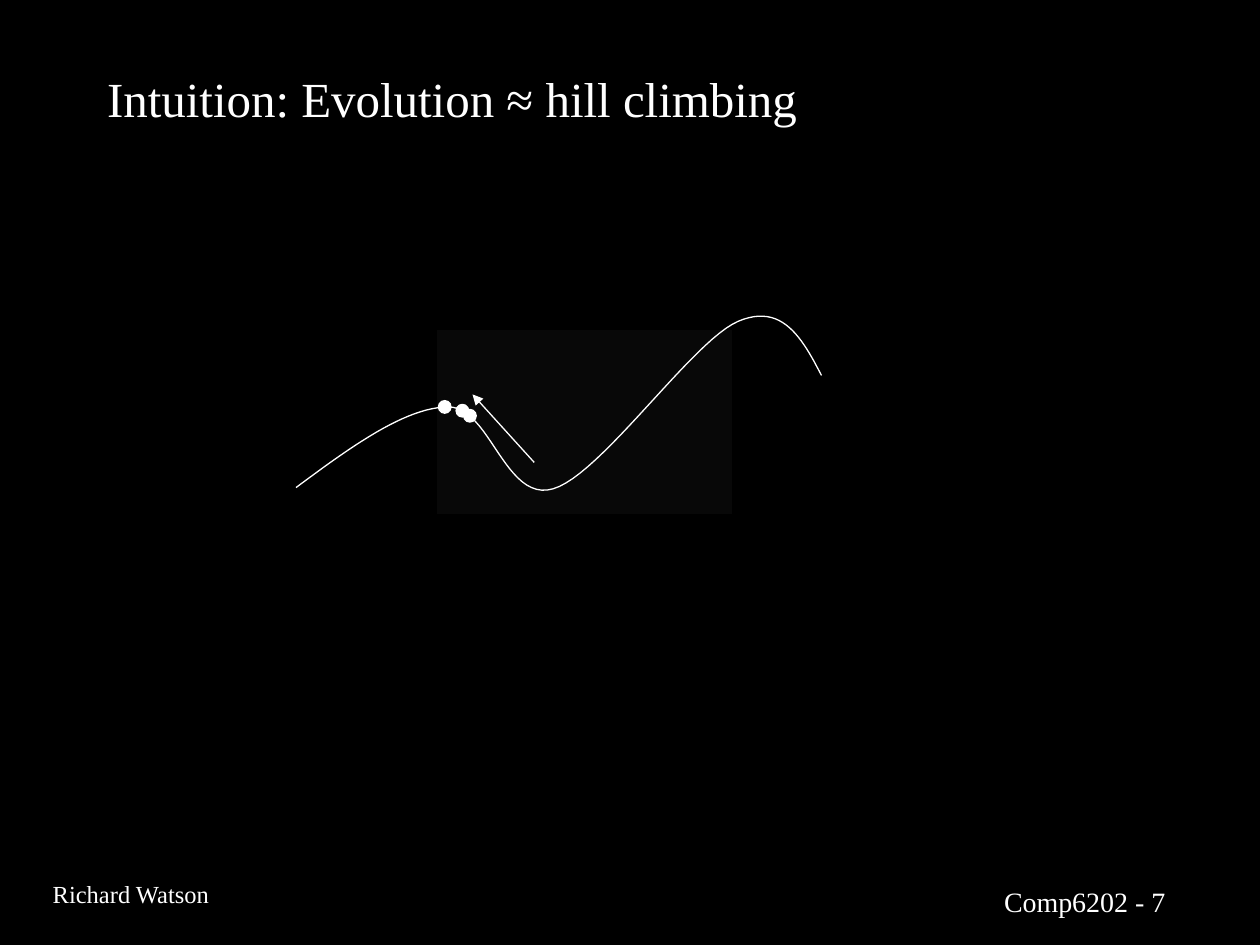
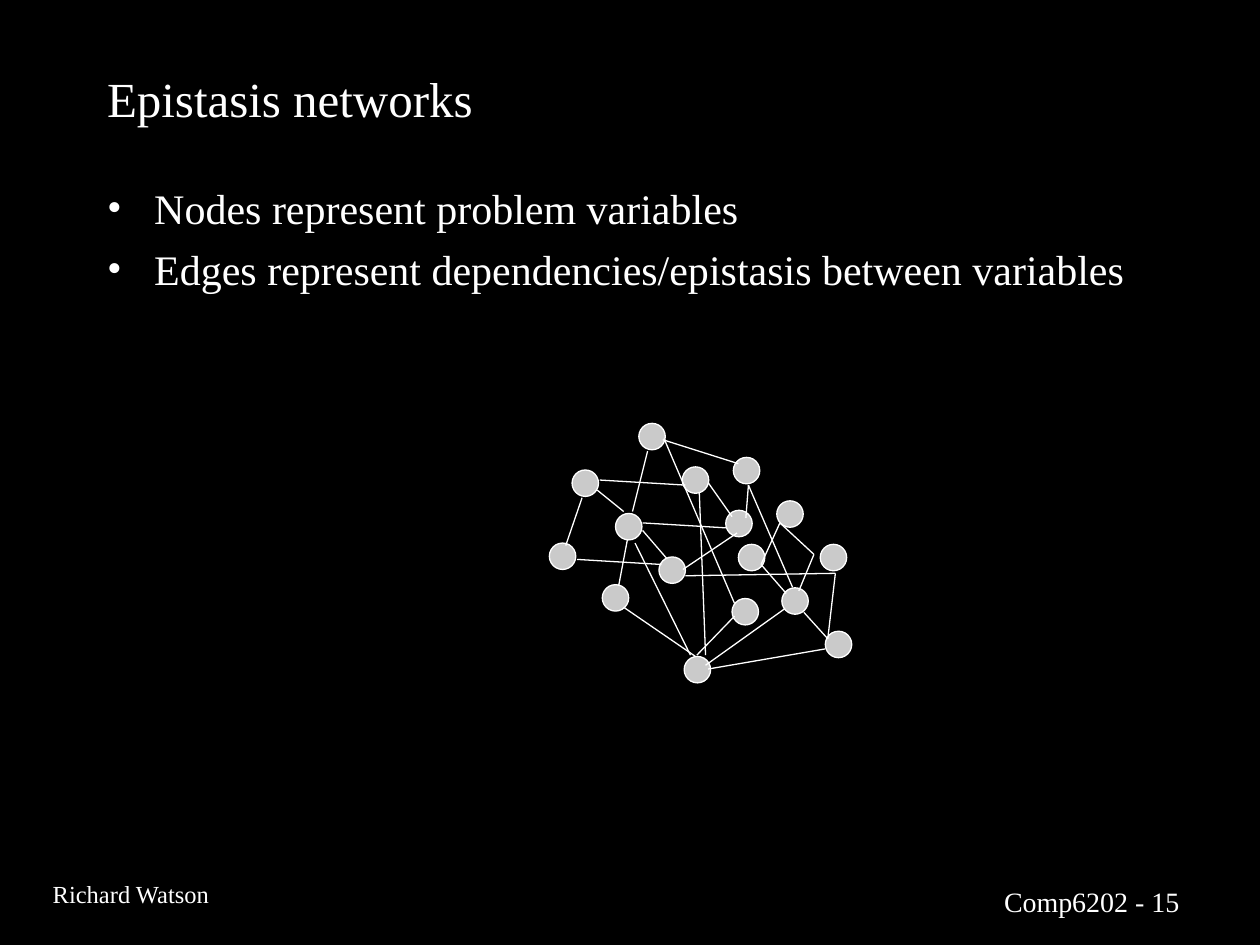
from itertools import pairwise

from lxml import etree
from pptx import Presentation
from pptx import util as u
from pptx.dml.color import RGBColor
from pptx.enum import shapes, text
from pptx.oxml.ns import qn

FONT = "Times New Roman"
BLACK, WHITE, GREY, PANEL = "000000", "FFFFFF", "CACACA", "080808"
GRID = 2.54  # centimetres in one drawing unit
TITLE_ONLY, TITLE_AND_BODY = 5, 1

# Hill curve: start point, then two controls and an end per segment
HILL_START = (2.35, 3.87)
HILL_SEGMENTS = [
    ((2.78, 3.55), (3.22, 3.23), (3.56, 3.23)),
    ((3.89, 3.23), (4.01, 3.99), (4.39, 3.88)),
    ((4.77, 3.77), (5.5, 2.7), (5.86, 2.55)),
    ((6.21, 2.4), (6.37, 2.69), (6.52, 2.98)),
]
CLIMBERS = [(3.62, 3.21), (3.48, 3.18), (3.68, 3.25)]

# Network: diagonal rows of three nodes, single nodes, and edge trails
NODE_SIZE, NODE_STEP = 0.21, 0.345
NODE_ROWS = [(4.54, 3.73), (5.82, 3.63), (5.86, 4.32), (5.07, 3.36)]
SINGLE_NODES = [(5.43, 5.21), (4.36, 4.31), (4.78, 4.64), (5.81, 4.75)]
EDGE_TRAILS = [
    [(4.49, 4.33), (4.62, 3.95)],
    [(4.91, 4.65), (4.98, 4.28)],
    [(4.58, 4.44), (5.25, 4.48)],
    [(5.1, 4.21), (5.29, 4.43)],
    [(4.76, 3.81), (5.44, 3.85)],
    [(5.14, 3.58), (5.02, 4.06)],
    [(4.74, 3.89), (4.95, 4.06)],
    [(5.27, 3.48), (5.83, 4.79)],
    [(5.26, 3.49), (5.86, 3.68)],
    [(5.62, 3.83), (5.81, 4.1)],
    [(5.77, 4.19), (5.1, 4.15)],
    [(5.85, 4.23), (5.42, 4.52)],
    [(5.92, 4.11), (5.94, 3.85), (6.29, 4.66)],
    [(6.24, 4.71), (6.04, 4.48), (6.19, 4.15), (6.46, 4.4), (6.34, 4.69)],
    [(6.38, 4.86), (6.57, 5.07), (6.63, 4.55), (5.44, 4.57)],
    [(5.83, 4.89), (5.53, 5.2)],
    [(5.52, 5.21), (4.95, 4.82)],
    [(5.48, 5.2), (5.04, 4.31)],
    [(5.6, 5.28), (6.23, 4.83)],
    [(5.62, 5.31), (6.55, 5.15)],
    [(5.6, 5.2), (5.55, 3.91)],
]


def color(value):
    return RGBColor.from_string(value)


def lengths(*units):
    return [u.Cm(GRID * unit) for unit in units]


def place(box, left, top, width, height):
    box.left, box.top, box.width, box.height = lengths(left, top, width, height)


def write(para, words, size=24, ink=WHITE, before=0):
    para.alignment = text.PP_ALIGN.LEFT
    para.space_before = u.Pt(before)
    span = para.add_run()
    span.text = words
    span.font.name, span.font.size = FONT, u.Pt(size)
    span.font.color.rgb = color(ink)


def set_line(outline):
    outline.color.rgb = color(WHITE)
    outline.width = u.Pt(0.75)


def add_label(page, words, left, top, width, height, size):
    box = page.shapes.add_textbox(*lengths(left, top, width, height))
    box.text_frame.word_wrap = True
    write(box.text_frame.paragraphs[0], words, size=size)


def add_solid(page, kind, left, top, width, height, fill, outlined=True):
    shape = page.shapes.add_shape(kind, *lengths(left, top, width, height))
    shape.shadow.inherit = False
    shape.fill.solid()
    shape.fill.fore_color.rgb = color(fill)
    if outlined:
        set_line(shape.line)
    else:
        shape.line.fill.background()


def add_dot(page, left, top, size, fill):
    add_solid(page, shapes.MSO_SHAPE.OVAL, left, top, size, size, fill)


def add_line(page, start, end, arrow=False):
    line = page.shapes.add_connector(
        shapes.MSO_CONNECTOR.STRAIGHT, *lengths(*start, *end))
    set_line(line.line)
    if arrow:
        etree.SubElement(line.line._get_or_add_ln(), qn("a:tailEnd"), type="triangle")
    etree.SubElement(line._element.spPr, qn("a:effectLst"))


def bezier(start, first, second, end, steps=24):
    for step in range(1, steps + 1):
        t = step / steps
        yield tuple(
            (1 - t) ** 3 * a + 3 * (1 - t) ** 2 * t * b + 3 * (1 - t) * t ** 2 * c + t ** 3 * d
            for a, b, c, d in zip(start, first, second, end))


def add_curve(page, start, segments):
    points, here = [], start
    for first, second, end in segments:
        points += [lengths(*point) for point in bezier(here, first, second, end)]
        here = end
    builder = page.shapes.build_freeform(*lengths(*start))
    builder.add_line_segments(points, close=False)
    curve = builder.convert_to_shape()
    curve.shadow.inherit = False
    curve.fill.background()
    set_line(curve.line)


def add_bullets(body, items):
    place(body, 0.75, 1.4, 8.5, 5.52)
    frame = body.text_frame
    frame.auto_size = text.MSO_AUTO_SIZE.NONE
    for index, item in enumerate(items):
        para = frame.paragraphs[0] if index == 0 else frame.add_paragraph()
        props = para._p.get_or_add_pPr()
        props.set("marL", str(u.Cm(0.95)))
        props.set("indent", str(-u.Cm(0.95)))
        bullet_color = etree.SubElement(props, qn("a:buClr"))
        etree.SubElement(bullet_color, qn("a:srgbClr"), val=WHITE)
        etree.SubElement(props, qn("a:buFont"), typeface=FONT)
        etree.SubElement(props, qn("a:buChar"), char="•")
        write(para, item, before=6 if index else 0)


def add_page(deck, layout, title, number):
    page = deck.slides.add_slide(deck.slide_layouts[layout])
    # Footer
    add_label(page, f"Comp6202 - {number}", 7.87, 6.97, 2.05, 0.36, size=16)
    add_label(page, "Richard Watson", 0.32, 6.93, 1.6, 0.34, size=14)
    # Title
    heading = page.shapes.title
    place(heading, 0.75, 0.41, 8.5, 0.73)
    heading.text_frame.auto_size = text.MSO_AUTO_SIZE.NONE
    heading.text_frame.vertical_anchor = text.MSO_ANCHOR.MIDDLE
    write(heading.text_frame.paragraphs[0], title, size=28)
    return page


def add_hill_page(deck):
    page = add_page(deck, TITLE_ONLY, "Intuition: Evolution ≈ hill climbing", 7)
    add_solid(page, shapes.MSO_SHAPE.RECTANGLE, 3.47, 2.62, 2.34, 1.46, PANEL, outlined=False)
    add_curve(page, HILL_START, HILL_SEGMENTS)
    for left, top in CLIMBERS:
        add_dot(page, left, top, 0.1, WHITE)
    add_line(page, (4.24, 3.67), (3.75, 3.13), arrow=True)


def add_network_page(deck):
    page = add_page(deck, TITLE_AND_BODY, "Epistasis networks", 15)
    add_bullets(page.placeholders[1], [
        "Nodes represent problem variables",
        "Edges represent dependencies/epistasis between variables",
    ])
    # Nodes
    row_nodes = [(left + step * NODE_STEP, top + step * NODE_STEP)
                 for left, top in NODE_ROWS for step in range(3)]
    for left, top in row_nodes + SINGLE_NODES:
        add_dot(page, left, top, NODE_SIZE, GREY)
    # Edges
    for trail in EDGE_TRAILS:
        for start, end in pairwise(trail):
            add_line(page, start, end)


def main():
    deck = Presentation()
    deck.slide_width, deck.slide_height = u.Cm(25.4), u.Cm(19.05)
    backdrop = deck.slide_master.background.fill
    backdrop.solid()
    backdrop.fore_color.rgb = color(BLACK)
    add_hill_page(deck)
    add_network_page(deck)
    deck.save("out.pptx")


if __name__ == "__main__":
    main()
